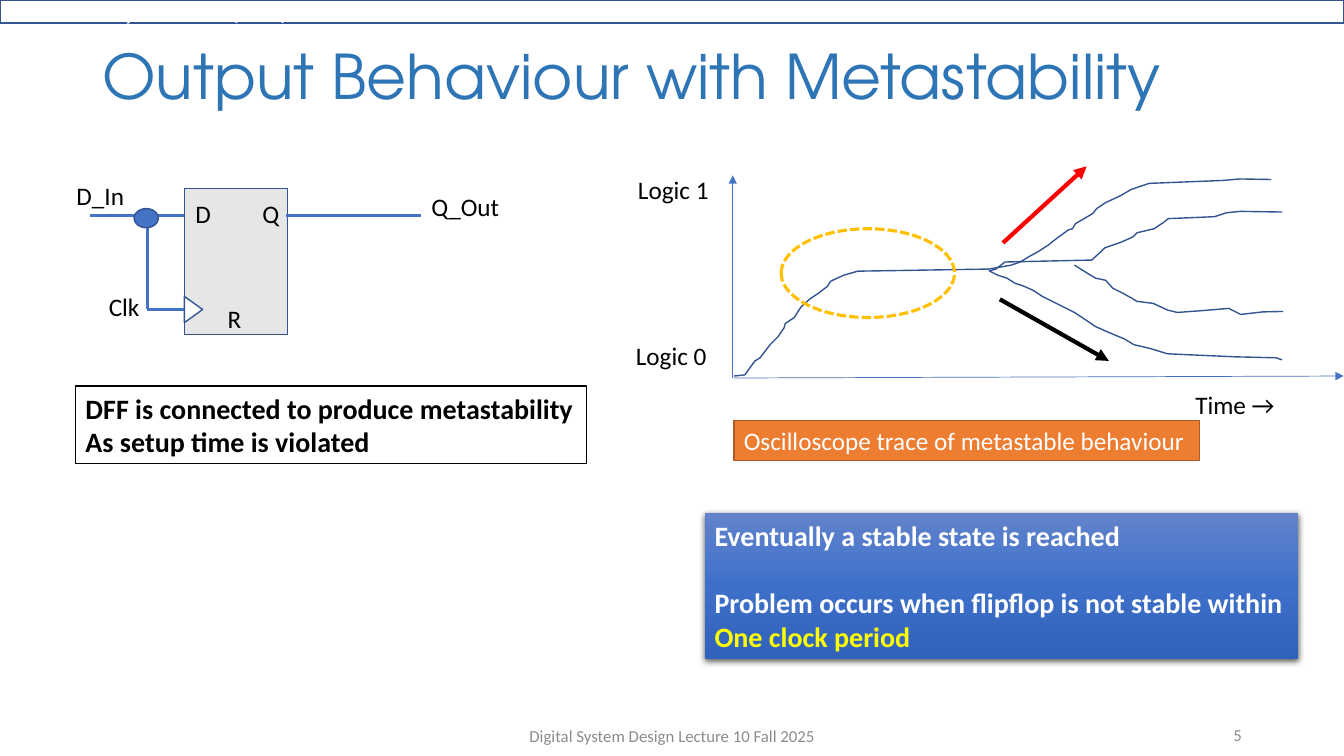
from typing import NamedTuple, Optional

from pptx import Presentation
from pptx.dml.color import RGBColor
from pptx.enum.dml import MSO_LINE
from pptx.enum.shapes import MSO_CONNECTOR, MSO_SHAPE
from pptx.enum.text import MSO_ANCHOR, PP_ALIGN
from pptx.oxml import parse_xml
from pptx.oxml.ns import nsdecls
from pptx.util import Pt

BLACK = RGBColor(0x00, 0x00, 0x00)
WHITE = RGBColor(0xFF, 0xFF, 0xFF)
RED = RGBColor(0xFF, 0x00, 0x00)
YELLOW = RGBColor(0xFF, 0xFF, 0x00)
GOLD = RGBColor(0xFF, 0xC0, 0x00)
ORANGE = RGBColor(0xED, 0x7D, 0x31)
BROWN = RGBColor(0xAF, 0x5C, 0x24)
BLUE = RGBColor(0x44, 0x72, 0xC4)
DARK_BLUE = RGBColor(0x32, 0x54, 0x91)
TITLE_BLUE = RGBColor(0x2E, 0x75, 0xB6)
LIGHT_GRAY = RGBColor(0xE7, 0xE6, 0xE6)
FOOTER_GRAY = RGBColor(0x8C, 0x8C, 0x8C)

BAR_STOPS = [(2, "ABC0E4", 100), (38, "002060", 100), (93, "7E9ED6", 64)]
NOTE_STOPS = [(0, "6183CB", 100), (50, "3E70CA", 100), (100, "3062BB", 100)]


class Box(NamedTuple):
    left: float
    top: float
    width: float
    height: float


class Style(NamedTuple):
    size: float = 18
    color: RGBColor = BLACK
    bold: bool = False
    font: str = "Calibri"
    align: PP_ALIGN = PP_ALIGN.LEFT
    anchor: MSO_ANCHOR = MSO_ANCHOR.TOP
    wrap: bool = False


class Label(NamedTuple):
    text: str
    box: Box
    style: Style = Style()


class Line(NamedTuple):
    start: tuple[float, float]
    end: tuple[float, float]
    color: RGBColor = BLUE
    width: float = 2.25
    arrow: bool = False


HEADING = Style(20, BLACK, True)
FOOTER = Style(12, FOOTER_GRAY, anchor=MSO_ANCHOR.MIDDLE, wrap=True)

LABELS = [
    Label("Q_Out", Box(301, 133.2, 63.4, 28.8)),
    Label("D", Box(132.5, 138.2, 25.5, 28.8)),
    Label("Q", Box(180.4, 138.2, 26.5, 28.8)),
    Label("R", Box(155.5, 213.1, 24.5, 28.8)),
    Label("D_In", Box(47.5, 125.3, 49, 28.8)),
    Label("Clk", Box(70.6, 204.5, 36.7, 28.8)),
    Label("Time →", Box(846.7, 274.3, 72, 28.8)),
    Label("Logic 0", Box(447.1, 239.8, 65.5, 28.8)),
    Label("Logic 1", Box(448.6, 121, 65.5, 28.8)),
    Label("Digital System Design Lecture 10 Fall 2025", Box(318.2, 511.2, 324, 28.8),
          FOOTER._replace(align=PP_ALIGN.CENTER)),
    Label("5", Box(678.2, 510.5, 216, 28.8), FOOTER._replace(align=PP_ALIGN.RIGHT)),
]

LINES = [
    Line((64.1, 154.1), (131.8, 154.1)),
    Line((131.8, 221), (105.1, 221)),
    Line((204.5, 154.1), (301, 154.1)),
    Line((105.1, 221), (105.1, 154.1)),
    Line((523.4, 270), (523.4, 125.3), width=0.5, arrow=True),
    Line((524.2, 270), (959.8, 268.6), width=0.5, arrow=True),
    Line((716.4, 173.5), (776.2, 118.8), RED, 3, True),
    Line((714.2, 213.8), (792, 257.8), BLACK, 3, True),
]

SETTLES_HIGH = [
    (524.2, 268.6), (532.1, 267.8), (535.5, 263), (539.3, 257.8), (542.9, 255.6),
    (550.1, 246.2), (555.8, 240.5), (560.2, 234), (560.9, 231.1), (567.4, 226.8),
    (572, 219.5), (578.2, 213.8), (584.6, 209.5), (591.1, 204.5), (593.3, 200.9),
    (602.6, 196.6), (612.7, 193.7), (706.3, 192.2), (722.2, 189.4), (728.6, 187.2),
    (735.8, 182.9), (742.3, 179.3), (748.8, 175), (755.3, 169.9), (763.2, 164.2),
    (766.1, 163.4), (768.2, 159.8), (780.5, 152.6), (783.4, 149), (789.8, 144.7),
    (800.6, 139.7), (807.8, 135.4), (814.3, 133.2), (820.8, 131), (873.4, 128.9),
    (885.6, 127.8), (907.9, 128.2),
]
LATE_HIGH = [
    (706.3, 193.7), (711.4, 192.2), (717.8, 187.2), (779.8, 185.8), (786.2, 180),
    (789.1, 177.1), (801.4, 172.8), (809.3, 169.2), (812.2, 166.3), (824.4, 163.4),
    (830.9, 159.1), (834.5, 156.2), (867.6, 154.8), (876, 152), (886, 151),
    (915.8, 151.5),
]
LATE_LOW = [
    (767.5, 189.4), (779, 196.6), (782.6, 198.7), (789.8, 200.2), (794.9, 205.9),
    (802.1, 209.5), (808.6, 213.1), (812.2, 215.3), (823.7, 216.7), (834, 221.5),
    (841, 223.2), (860, 221.8), (877.7, 220.3), (886.3, 224.6), (902, 222.8),
    (916.6, 222.5),
]
SETTLES_LOW = [
    (707, 193.7), (712.8, 196.6), (719.3, 198.7), (725, 202.3), (731.5, 204.5),
    (738, 207.4), (744.5, 211.7), (754.6, 216.7), (767.5, 223.2), (774, 227.5),
    (782.6, 233.3), (789.1, 236.2), (799.2, 240.5), (802.8, 241.9), (810, 246.2),
    (822.2, 249.1), (833.8, 252.7), (848.9, 253.4), (882, 254.9), (911.5, 255.6),
    (915.8, 257),
]
TRACES = [SETTLES_HIGH, LATE_HIGH, LATE_LOW, SETTLES_LOW]


def write(shape, text: str, style: Style) -> None:
    frame = shape.text_frame
    frame.text = text
    frame.word_wrap = style.wrap
    frame.vertical_anchor = style.anchor
    for paragraph in frame.paragraphs:
        paragraph.alignment = style.align
        for run in paragraph.runs:
            run.font.name = style.font
            run.font.size = Pt(style.size)
            run.font.bold = style.bold
            run.font.color.rgb = style.color


def add_label(slide, label: Label):
    shape = slide.shapes.add_textbox(*map(Pt, label.box))
    write(shape, label.text, label.style)
    return shape


def outline(shape, color: Optional[RGBColor], width: float = 1) -> None:
    if color is None:
        shape.line.fill.background()
    else:
        shape.line.color.rgb = color
        shape.line.width = Pt(width)


def add_block(slide, kind: MSO_SHAPE, box: Box, fill: Optional[RGBColor] = None,
              line: Optional[RGBColor] = DARK_BLUE, width: float = 1):
    shape = slide.shapes.add_shape(kind, *map(Pt, box))
    shape.shadow.inherit = False
    if fill is None:
        shape.fill.background()
    else:
        shape.fill.solid()
        shape.fill.fore_color.rgb = fill
    outline(shape, line, width)
    return shape


def fill_downward(shape, stops: list[tuple[int, str, int]]) -> None:
    """Replace the fill by a top-to-bottom gradient of (percent, colour, opacity) stops."""
    stop_xml = "".join(
        f'<a:gs pos="{position * 1000}"><a:srgbClr val="{color}">'
        f'<a:alpha val="{opacity * 1000}"/></a:srgbClr></a:gs>'
        for position, color, opacity in stops)
    shape.fill.background()
    properties = shape.element.spPr
    properties.replace(properties.find("{*}noFill"), parse_xml(
        f'<a:gradFill {nsdecls("a")} rotWithShape="1"><a:gsLst>{stop_xml}</a:gsLst>'
        '<a:lin ang="5400000" scaled="0"/></a:gradFill>'))


def add_soft_shadow(shape) -> None:
    shape.element.spPr.find("{*}effectLst").append(parse_xml(
        f'<a:outerShdw {nsdecls("a")} blurRad="{Pt(4.5)}" dist="{Pt(1.5)}" dir="5400000" '
        'algn="ctr" rotWithShape="0"><a:srgbClr val="000000"><a:alpha val="63000"/>'
        '</a:srgbClr></a:outerShdw>'))


def add_line(slide, line: Line) -> None:
    connector = slide.shapes.add_connector(
        MSO_CONNECTOR.STRAIGHT, *map(Pt, line.start + line.end))
    outline(connector, line.color, line.width)
    if line.arrow:
        connector.line._get_or_add_ln().append(
            parse_xml(f'<a:tailEnd {nsdecls("a")} type="triangle"/>'))
    connector.element.spPr.append(parse_xml(f'<a:effectLst {nsdecls("a")}/>'))


def add_trace(slide, points: list[tuple[float, float]]) -> None:
    vertices = [(Pt(x), Pt(y)) for x, y in points]
    builder = slide.shapes.build_freeform(*vertices[0])
    builder.add_line_segments(vertices[1:], close=False)
    shape = builder.convert_to_shape()
    shape.shadow.inherit = False
    shape.fill.background()
    outline(shape, DARK_BLUE)


def main() -> None:
    presentation = Presentation()
    presentation.slide_width, presentation.slide_height = Pt(960), Pt(540)
    slide = presentation.slides.add_slide(presentation.slide_layouts[6])

    bar = add_block(slide, MSO_SHAPE.RECTANGLE, Box(0, 0, 960, 16.6))
    fill_downward(bar, BAR_STOPS)
    write(bar, "Embedded Systems Lab (EESL)",
          Style(16, WHITE, True, anchor=MSO_ANCHOR.MIDDLE, wrap=True))
    title = add_label(slide, Label(
        "Output Behaviour with Metastability", Box(66, 23, 828, 67),
        Style(44, TITLE_BLUE, font="TeX Gyre Adventor", anchor=MSO_ANCHOR.MIDDLE, wrap=True)))
    title.text_frame.paragraphs[0].line_spacing = 0.9

    add_block(slide, MSO_SHAPE.RECTANGLE, Box(131.8, 134.6, 73.4, 104.4), LIGHT_GRAY)
    clock_mark = add_block(slide, MSO_SHAPE.ISOSCELES_TRIANGLE,
                           Box(128.9, 214.6, 18.7, 13), WHITE)
    clock_mark.rotation = 90
    for line in LINES:
        add_line(slide, line)
    for points in TRACES:
        add_trace(slide, points)
    add_block(slide, MSO_SHAPE.OVAL, Box(95.8, 149, 17.3, 13.7), BLUE)
    for label in LABELS:
        add_label(slide, label)

    conclusion = add_block(slide, MSO_SHAPE.RECTANGLE, Box(503.3, 366.5, 424.1, 104.4), line=None)
    fill_downward(conclusion, NOTE_STOPS)
    add_soft_shadow(conclusion)
    write(conclusion, "Eventually a stable state is reached\n"
          "Problem occurs when flipflop is not stable within\nOne clock period",
          HEADING._replace(color=WHITE))
    _, problem, limit = conclusion.text_frame.paragraphs
    problem.space_before = Pt(24.4)
    limit.runs[0].font.color.rgb = YELLOW

    caption = add_block(slide, MSO_SHAPE.RECTANGLE, Box(524.2, 300.2, 332.6, 28.8), ORANGE, BROWN)
    write(caption, "Oscilloscope trace of metastable behaviour", Style(color=WHITE))
    setup_note = add_block(slide, MSO_SHAPE.RECTANGLE, Box(54, 275.8, 365, 55.4), WHITE, BLACK)
    write(setup_note, "DFF is connected to produce metastability\nAs setup time is violated",
          HEADING)
    metastable_zone = add_block(slide, MSO_SHAPE.OVAL, Box(558, 163.4, 123.8, 63.4),
                                line=GOLD, width=2.25)
    metastable_zone.line.dash_style = MSO_LINE.SQUARE_DOT

    presentation.save("out.pptx")


if __name__ == "__main__":
    main()
